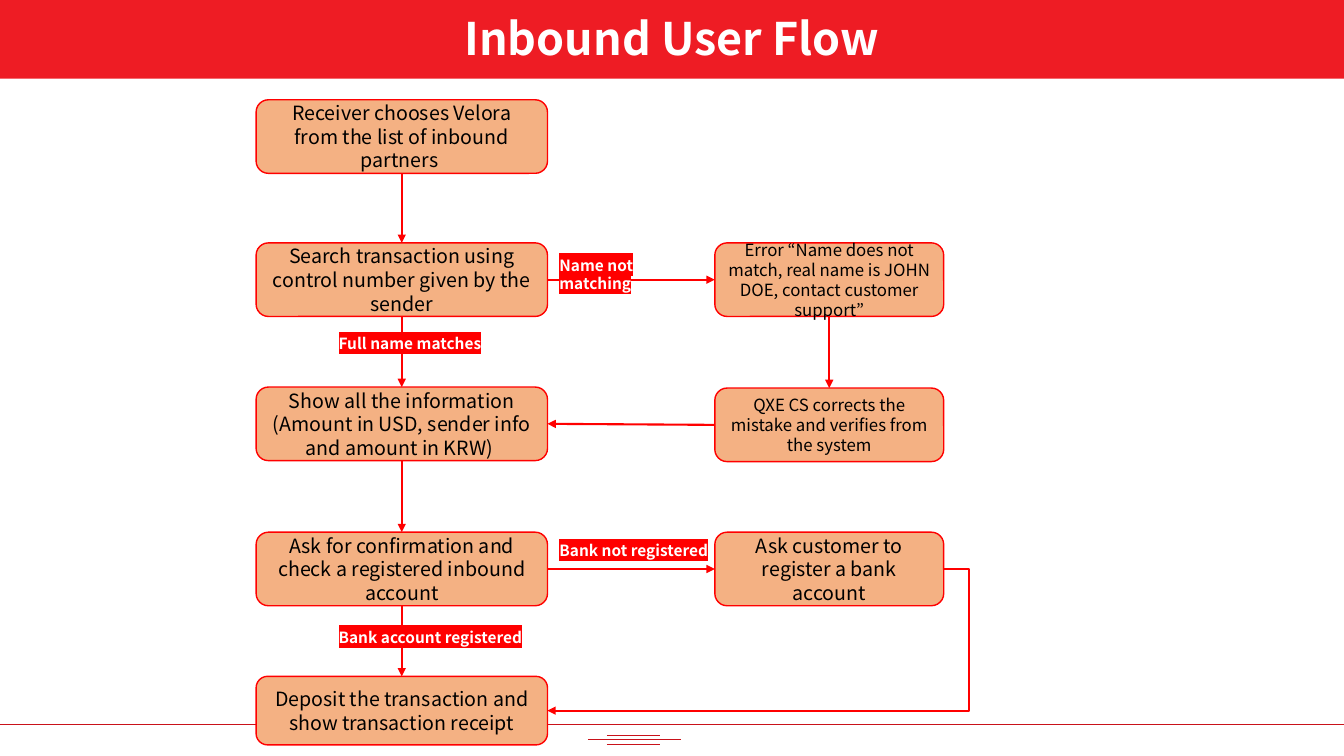
"""Build the Inbound User Flow slide."""
from dataclasses import dataclass

from lxml.etree import SubElement
from pptx import Presentation
from pptx.dml.color import RGBColor
from pptx.enum.shapes import MSO_CONNECTOR, MSO_SHAPE
from pptx.enum.text import MSO_ANCHOR, PP_ALIGN
from pptx.oxml import parse_xml
from pptx.oxml.ns import nsdecls, qn
from pptx.util import Inches, Pt


@dataclass(frozen=True)
class Theme:
    font: str = "Noto Sans CJK KR"
    banner: RGBColor = RGBColor(0xEE, 0x1C, 0x24)
    footer: RGBColor = RGBColor(0xC9, 0x12, 0x1A)
    step: RGBColor = RGBColor(0xF4, 0xB1, 0x83)
    accent: RGBColor = RGBColor(0xFF, 0x00, 0x00)
    dark: RGBColor = RGBColor(0x00, 0x00, 0x00)
    light: RGBColor = RGBColor(0xFF, 0xFF, 0xFF)
    title_size: int = 32
    step_size: int = 14
    note_size: int = 12
    label_size: int = 11


theme = Theme()
deck = Presentation()
deck.slide_width = Inches(13.33)
deck.slide_height = Inches(7.5)
page = deck.slides.add_slide(deck.slide_layouts[6])


def add_block(kind, place, fill, text, size, color):
    """Add a filled shape with centred text."""
    box = page.shapes.add_shape(kind, *map(Inches, place))
    box.shadow.inherit = False
    box.fill.solid()
    box.fill.fore_color.rgb = fill
    box.line.fill.background()
    frame = box.text_frame
    frame.word_wrap = True
    frame.vertical_anchor = MSO_ANCHOR.MIDDLE
    frame.text = text
    para = frame.paragraphs[0]
    para.alignment = PP_ALIGN.CENTER
    span = para.runs[0]
    span.font.name = theme.font
    span.font.size = Pt(size)
    span.font.color.rgb = color
    return box


def add_line(kind, ends, color, width):
    """Add a connector without a shadow."""
    line = page.shapes.add_connector(kind, *map(Inches, ends))
    line.line.color.rgb = color
    line.line.width = Pt(width)
    SubElement(line._element.spPr, qn("a:effectLst"))
    return line


for left, right, height in [
    (0, 13.33, 7.19),
    (5.83, 6.75, 7.34),
    (6.02, 6.55, 7.38),
    (6.02, 6.55, 7.3),
]:
    add_line(MSO_CONNECTOR.STRAIGHT, (left, height, right, height), theme.footer, 0.5)

banner = add_block(MSO_SHAPE.RECTANGLE, (0, -0.03, 13.33, 0.81), theme.banner,
                   "Inbound User Flow", theme.title_size, theme.light)
banner.text_frame.paragraphs[0].runs[0].font.bold = True

main_column = (2.54, 2.89)
side_column = (7.09, 2.27)
steps = {
    "choose": (main_column, 0.99, 0.73, theme.step_size,
               "Receiver chooses Velora from the list of inbound partners "),
    "search": (main_column, 2.41, 0.73, theme.step_size,
               "Search transaction using control number given by the sender"),
    "show": (main_column, 3.84, 0.73, theme.step_size,
             "Show all the information (Amount in USD, sender info and amount in KRW) "),
    "confirm": (main_column, 5.28, 0.73, theme.step_size,
                "Ask for confirmation and check a registered inbound account"),
    "deposit": (main_column, 6.71, 0.68, theme.step_size,
                "Deposit the transaction and show transaction receipt"),
    "register": (side_column, 5.28, 0.73, theme.step_size,
                 "Ask customer to register a bank account"),
    "error": (side_column, 2.41, 0.73, theme.note_size,
              "Error “Name does not match, real name is JOHN DOE, contact customer support”"),
    "correct": (side_column, 3.85, 0.73, theme.note_size,
                "QXE CS corrects the mistake and verifies from the system"),
}
boxes = {}
for name, ((left, width), top, height, size, text) in steps.items():
    box = add_block(MSO_SHAPE.ROUNDED_RECTANGLE, (left, top, width, height),
                    theme.step, text, size, theme.dark)
    box.line.color.rgb = theme.accent
    box.line.width = Pt(1)
    boxes[name] = box

top_side, left_side, bottom_side, right_side = range(4)
arrows = [
    ("choose", bottom_side, "search", top_side),
    ("search", bottom_side, "show", top_side),
    ("show", bottom_side, "confirm", top_side),
    ("confirm", bottom_side, "deposit", top_side),
    ("search", right_side, "error", left_side),
    ("error", bottom_side, "correct", top_side),
    ("correct", left_side, "show", right_side),
    ("confirm", right_side, "register", left_side),
    ("register", right_side, "deposit", right_side),
]
for source, source_side, target, target_side in arrows:
    bent = source_side == target_side
    kind = MSO_CONNECTOR.ELBOW if bent else MSO_CONNECTOR.STRAIGHT
    arrow = add_line(kind, (0, 0, 0, 0), theme.accent, 1.5)
    arrow.begin_connect(boxes[source], source_side)
    arrow.end_connect(boxes[target], target_side)
    SubElement(arrow.line._get_or_add_ln(), qn("a:tailEnd"), type="triangle")
    if bent:
        guides = arrow._element.spPr.find(qn("a:prstGeom")).get_or_add_avLst()
        SubElement(guides, qn("a:gd"), name="adj1", fmla="val -6300")

labels = [
    ("Full name matches", 3.26, 3.27, 2.16),
    ("Name not matching", 5.45, 2.49, 1.67),
    ("Bank account registered", 3.26, 6.18, 2.16),
    ("Bank not registered", 5.45, 5.32, 2.16),
]
for text, left, top, width in labels:
    label = page.shapes.add_textbox(*map(Inches, (left, top, width, 0.29)))
    label.text_frame.word_wrap = True
    label.text_frame.text = text
    span = label.text_frame.paragraphs[0].runs[0]
    span.font.size = Pt(theme.label_size)
    span.font.bold = True
    span.font.color.rgb = theme.light
    span.font._element.append(parse_xml(
        f'<a:highlight {nsdecls("a")}><a:srgbClr val="{theme.accent}"/></a:highlight>'))
    span.font.name = theme.font

deck.save("out.pptx")
